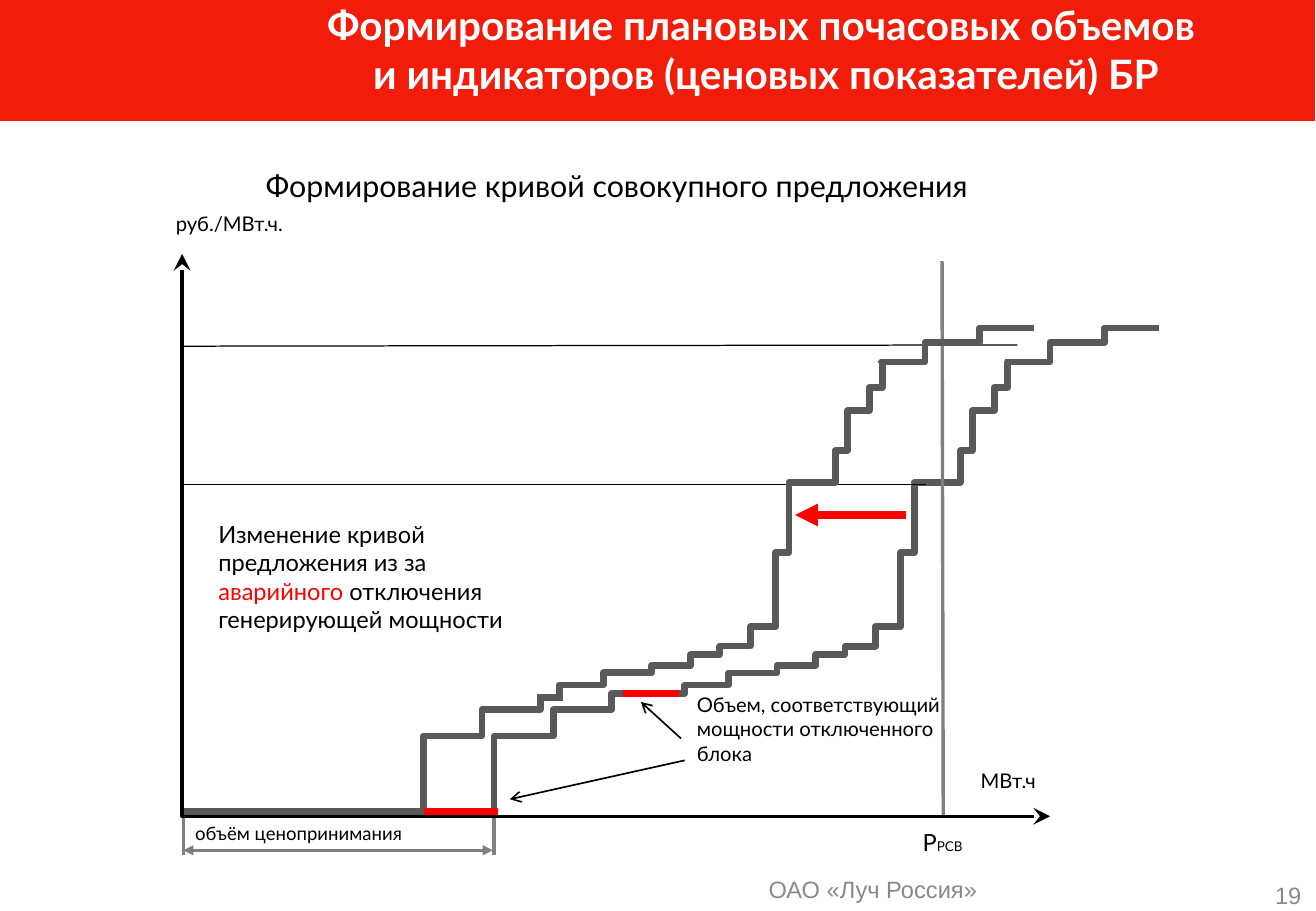
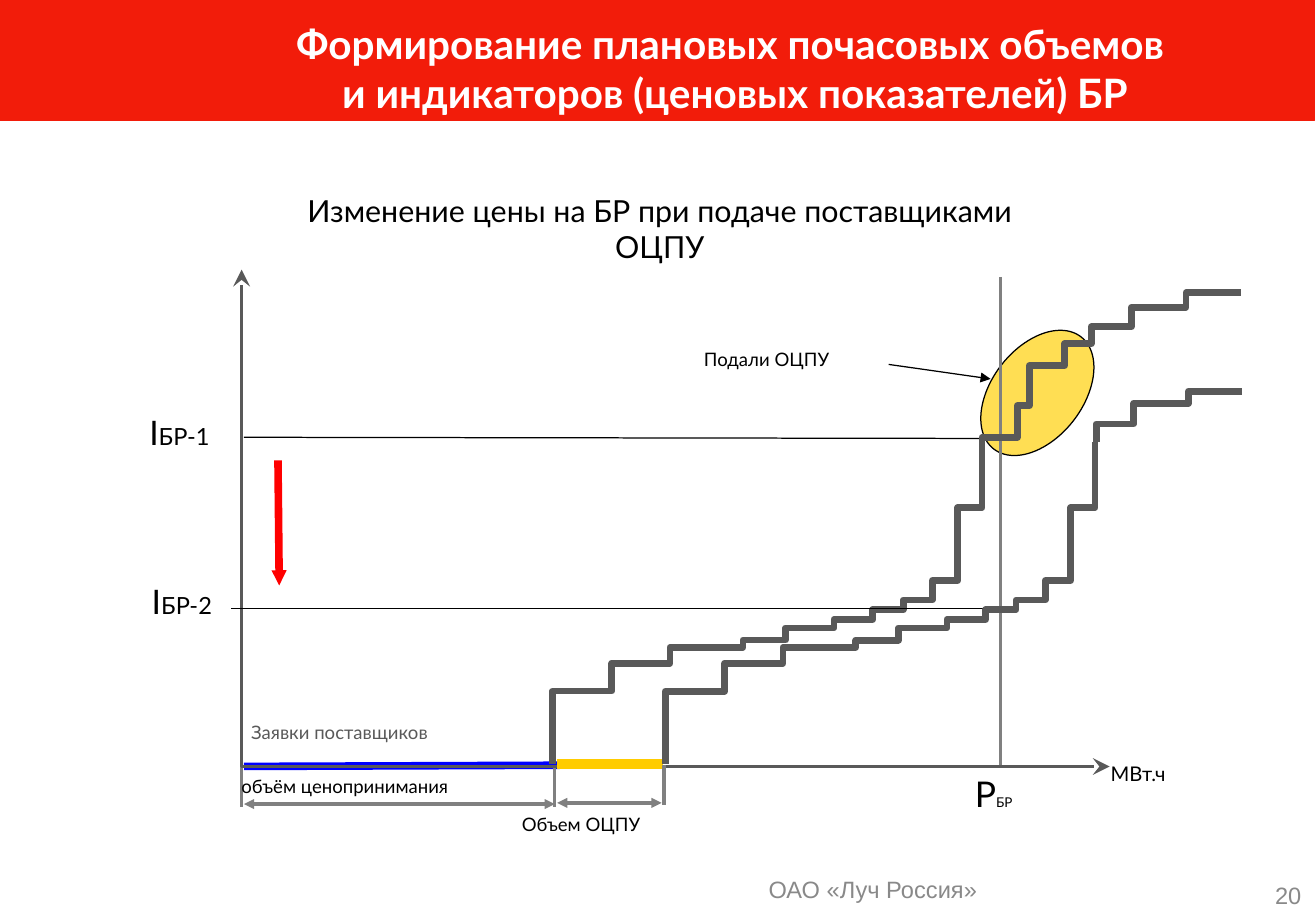
from lxml import etree
from pptx import Presentation
from pptx.dml.color import RGBColor
from pptx.enum import shapes, text
from pptx.oxml import ns
from pptx.util import Inches, Pt

COLORS = {
    "band": "F21C0A", "white": "FFFFFF", "black": "000000", "footer": "898989",
    "curve": "595959", "guide": "808080", "red": "FF0000", "blue": "0000FF",
    "amber": "FFCC00", "yellow": "FFDE53",
}
TITLE = "Формирование плановых почасовых объемов \vи индикаторов (ценовых показателей) БР"
LEFT, CENTER, RIGHT = text.PP_ALIGN.LEFT, text.PP_ALIGN.CENTER, text.PP_ALIGN.RIGHT
TOP, MIDDLE = text.MSO_ANCHOR.TOP, text.MSO_ANCHOR.MIDDLE
INSET = (0.1, 0.05)
FLUSH = (0, 0)


def rgb(name):
    return RGBColor.from_string(COLORS[name])


def inches(values):
    return [Inches(value) for value in values]


def style_font(font, size, color, face="Lato", bold=False):
    font.size, font.name, font.bold = Pt(size), face, bold
    font.color.rgb = rgb(color)


def style_frame(frame, inset, anchor):
    frame.word_wrap = True
    frame.auto_size = text.MSO_AUTO_SIZE.NONE
    frame.vertical_anchor = anchor
    frame.margin_left = frame.margin_right = Inches(inset[0])
    frame.margin_top = frame.margin_bottom = Inches(inset[1])


def label(slide, box, *parts, inset=INSET, align=LEFT, anchor=TOP, spacing=1.0, face="Lato"):
    caption = slide.shapes.add_textbox(*inches(box))
    style_frame(caption.text_frame, inset, anchor)
    paragraph = caption.text_frame.paragraphs[0]
    paragraph.alignment, paragraph.line_spacing = align, spacing
    for words, size, color in parts:
        run = paragraph.add_run()
        run.text = words
        style_font(run.font, size, color, face)
    return caption


def small_label(slide, box, words, color="black", spacing=0.8):
    label(slide, box, (words, 11, color), spacing=spacing)


def style_line(line, color, width, head=None, tail=None, size="med"):
    line.color.rgb = rgb(color)
    line.width = Pt(width)
    outline = line._get_or_add_ln()
    etree.SubElement(outline, ns.qn("a:round"))
    for tag, kind in (("a:headEnd", head), ("a:tailEnd", tail)):
        if kind:
            etree.SubElement(outline, ns.qn(tag), type=kind, w=size, len=size)


def segment(slide, start, end, color, width, **ends):
    connector = slide.shapes.add_connector(
        shapes.MSO_CONNECTOR.STRAIGHT, *inches(start + end))
    style_line(connector.line, color, width, **ends)
    etree.SubElement(connector._element.spPr, ns.qn("a:effectLst"))


def polyline(slide, points, color, width, **ends):
    first, *rest = [tuple(inches(point)) for point in points]
    builder = slide.shapes.build_freeform(*first)
    builder.add_line_segments(rest, close=False)
    outline = builder.convert_to_shape()
    outline.shadow.inherit = False
    outline.fill.background()
    style_line(outline.line, color, width, **ends)


def stairs(slide, start, treads):
    points = [start]
    for y, x in treads:
        points += [(points[-1][0], y), (x, y)]
    polyline(slide, points, "curve", 4)


def shift(treads, dx):
    return [(y, x + dx) for y, x in treads]


def axes(slide, top, corner, right, color):
    polyline(slide, [(corner[0], top), corner, (right, corner[1])], color, 2,
             head="stealth", tail="stealth", size="lg")


def ticks(slide, top, height, *places):
    for x in places:
        segment(slide, (x, top), (x, top + height), "guide", 2)


def dimension(slide, left, right, y):
    segment(slide, (left, y), (right, y), "guide", 2, head="triangle", tail="triangle")


def build_shared(slide):
    band = slide.shapes.add_shape(
        shapes.MSO_SHAPE.RECTANGLE, *inches((0, 0, 10.83, 0.99)))
    band.shadow.inherit = False
    band.fill.solid()
    band.fill.fore_color.rgb = rgb("band")
    style_line(band.line, "band", 0.75)
    footer = label(slide, (3.84, 7.14, 6.7, 0.36), ("ОАО «Луч Россия»", 14, "footer"),
                   inset=(0.12, 0.06), align=CENTER, anchor=MIDDLE, face="Arial")
    layout = slide.slide_layout
    for placeholder in list(layout.placeholders)[1:]:
        placeholder._element.getparent().remove(placeholder._element)
    for offset, shared in enumerate((band, footer)):
        layout.shapes._spTree.insert(2 + offset, shared._element)


def add_page(deck, number, title_box):
    slide = deck.slides.add_slide(deck.slide_layouts[5])
    title = slide.shapes.title
    title.left, title.top, title.width, title.height = inches(title_box)
    style_frame(title.text_frame, FLUSH, TOP)
    title.text_frame.text = TITLE
    heading = title.text_frame.paragraphs[0]
    heading.alignment = CENTER
    for run in heading.runs:
        style_font(run.font, 24, "white", bold=True)
    label(slide, (10.14, 7.24, 0.7, 0.31 - 0.05), (str(number), 14, "footer"),
          inset=(0.12, 0), align=RIGHT, anchor=MIDDLE, face="Arial")
    return slide


def draw_supply_shift(slide):
    base = [(6.06, 4.56), (5.84, 5.04)]
    steep = [(5.64, 6), (5.54, 6.4), (5.48, 6.72), (5.39, 6.96), (5.32, 7.21),
             (5.16, 7.42), (4.55, 7.53), (3.97, 7.91), (3.71, 8.01), (3.38, 8.19),
             (3.19, 8.3), (2.98, 8.48)]
    peak = [(2.98, 8.65), (2.82, 9.1), (2.7, 9.55)]
    outage = -1.03

    segment(slide, (4.09, 6.68), (1.49, 6.68), "curve", 4.5)
    label(slide, (7.98, 6.28, 0.9, 0.3), ("МВт.ч", 12, "black"))
    stairs(slide, (4.07, 6.67), base + [(5.71, 5.64)] + steep)
    segment(slide, (7.76, 2.15), (7.77, 6.73), "guide", 2)
    ticks(slide, 6.71, 0.33, 1.51, 4.07)
    dimension(slide, 1.51, 4.06, 7)
    small_label(slide, (1.51, 6.75, 2.64, 0.25), "объём ценопринимания")
    segment(slide, (8.38, 2.84), (1.49, 2.85), "black", 0.75)
    axes(slide, 2.09, (1.5, 6.72), 8.65, "black")
    label(slide, (2.09, 1.21, 6.99, 0.64),
          ("Формирование кривой совокупного предложения", 18, "black"), anchor=MIDDLE)
    segment(slide, (7.63, 3.99), (1.49, 3.99), "black", 0.75)
    label(slide, (7.6, 6.82, 1.19, 0.24), ("P", 14, "black"), ("РСВ", 8, "black"), inset=FLUSH)
    segment(slide, (5.13, 5.71), (5.59, 5.71), "red", 4)
    stairs(slide, (3.49, 6.67), shift(base, -0.59) + [(5.71, 4.45)])
    segment(slide, (4.43, 5.74), (4.64, 5.74), "curve", 4)
    stairs(slide, (4.61, 5.71), shift(steep, outage))
    stairs(slide, (7.26, 2.99), shift(peak, outage))
    stairs(slide, (8.28, 2.98), peak)
    segment(slide, (3.49, 6.68), (4.1, 6.68), "red", 4)
    label(slide, (1.7, 4.23, 2.8, 1.04),
          ("Изменение кривой предложения из за ", 14, "black"),
          ("аварийного", 14, "red"),
          (" отключения генерирующей мощности", 14, "black"))
    segment(slide, (6.55, 4.24), (7.46, 4.24), "red", 4.5, head="triangle")
    segment(slide, (4.2, 6.58), (5.64, 6.26), "black", 1, head="arrow")
    segment(slide, (5.61, 6.08), (5.28, 5.78), "black", 1, tail="arrow")
    label(slide, (5.74, 5.7, 2.27, 0.6),
          ("Объем, соответствующий мощности отключенного блока", 12, "black"), inset=FLUSH)
    label(slide, (1.35, 1.69, 1.3, 0.3), ("руб./МВт.ч.", 12, "black"))


def draw_price_change(slide):
    base = [(5.69, 5.04), (5.46, 5.52), (5.33, 6.12), (5.27, 6.47), (5.17, 6.87),
            (5.1, 7.19), (5.02, 7.44), (4.94, 7.68), (4.78, 7.89), (4.18, 8.09)]
    raised = [(3.6, 8.38), (3.34, 8.48), (3.01, 8.77), (2.83, 8.99), (2.69, 9.32),
              (2.53, 9.77), (2.41, 10.22)]
    lowered = [(3.49, 9.34), (3.32, 9.79), (3.22, 10.23)]

    label(slide, (2.27, 1.56, 6.33, 0.64),
          ("Изменение цены на БР при подаче поставщиками ОЦПУ", 18, "black"),
          align=CENTER, anchor=MIDDLE)
    small_label(slide, (4.2, 6.68, 1.4, 0.25), "Объем ОЦПУ")
    bids = slide.shapes.add_shape(shapes.MSO_SHAPE.OVAL, *inches((7.96, 2.86, 1.17, 0.75)))
    bids.rotation = 308
    bids.shadow.inherit = False
    bids.fill.solid()
    bids.fill.fore_color.rgb = rgb("yellow")
    style_line(bids.line, "black", 0.75)
    segment(slide, (4.61, 6.3), (2.01, 6.31), "blue", 4.5)
    label(slide, (9.05, 6.22, 0.9, 0.3), ("МВт.ч", 12, "black"))
    segment(slide, (8.24, 2.28), (8.24, 6.31), "guide", 2)
    small_label(slide, (1.97, 5.89, 2, 0.29), "Заявки поставщиков", "curve", 1.0)
    ticks(slide, 6.31, 0.33, 1.99, 4.57)
    dimension(slide, 2.01, 4.57, 6.62)
    small_label(slide, (1.89, 6.37, 2.2, 0.25), "объём ценопринимания")
    segment(slide, (8.25, 3.61), (2.01, 3.6), "black", 0.75)
    axes(slide, 2.22, (1.99, 6.31), 9.14, "curve")
    stairs(slide, (4.55, 6.29), base + raised)
    segment(slide, (8.28, 5.01), (1.9, 5.01), "black", 0.75)
    small_label(slide, (5.7, 2.85, 1.4, 0.25), "Подали ОЦПУ")
    segment(slide, (7.32, 3), (8.16, 3.12), "black", 0.75, tail="triangle")
    segment(slide, (4.59, 6.29), (5.46, 6.29), "amber", 6)
    ticks(slide, 6.3, 0.33, 5.47)
    dimension(slide, 4.59, 5.45, 6.61)
    stairs(slide, (5.48, 6.29), shift(base + [(3.64, 8.09)], 0.93))
    stairs(slide, (9.03, 3.64), lowered)
    label(slide, (8.03, 6.36, 0.6, 0.35), ("P", 21, "black"), ("БР", 8, "black"), inset=FLUSH)
    for x, y, index in ((1.23, 3.39, "БР-1"), (1.25, 4.78, "БР-2")):
        label(slide, (x, y, 0.7, 0.33), ("I", 20, "black"), (index, 14, "black"), inset=FLUSH)
    segment(slide, (2.29, 3.79), (2.3, 4.82), "red", 4.5, tail="triangle", size="sm")


def main():
    deck = Presentation()
    deck.slide_width, deck.slide_height = inches((10.84, 7.5))
    supply = add_page(deck, 19, (1.79, 0, 9.04, 0.99))
    build_shared(supply)
    draw_supply_shift(supply)
    draw_price_change(add_page(deck, 20, (1.56, 0.16, 8.99, 0.81)))
    deck.save("out.pptx")


if __name__ == "__main__":
    main()
